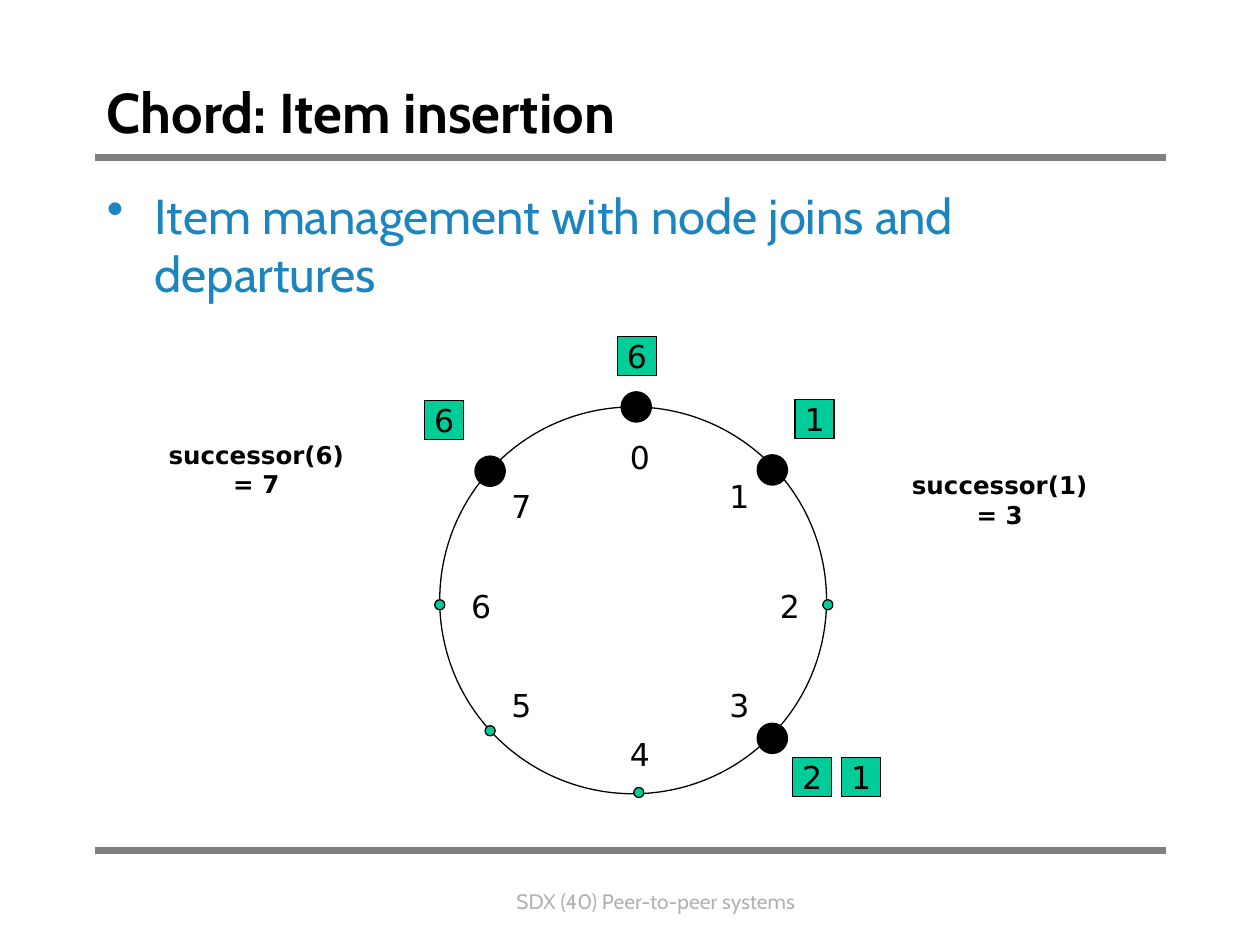
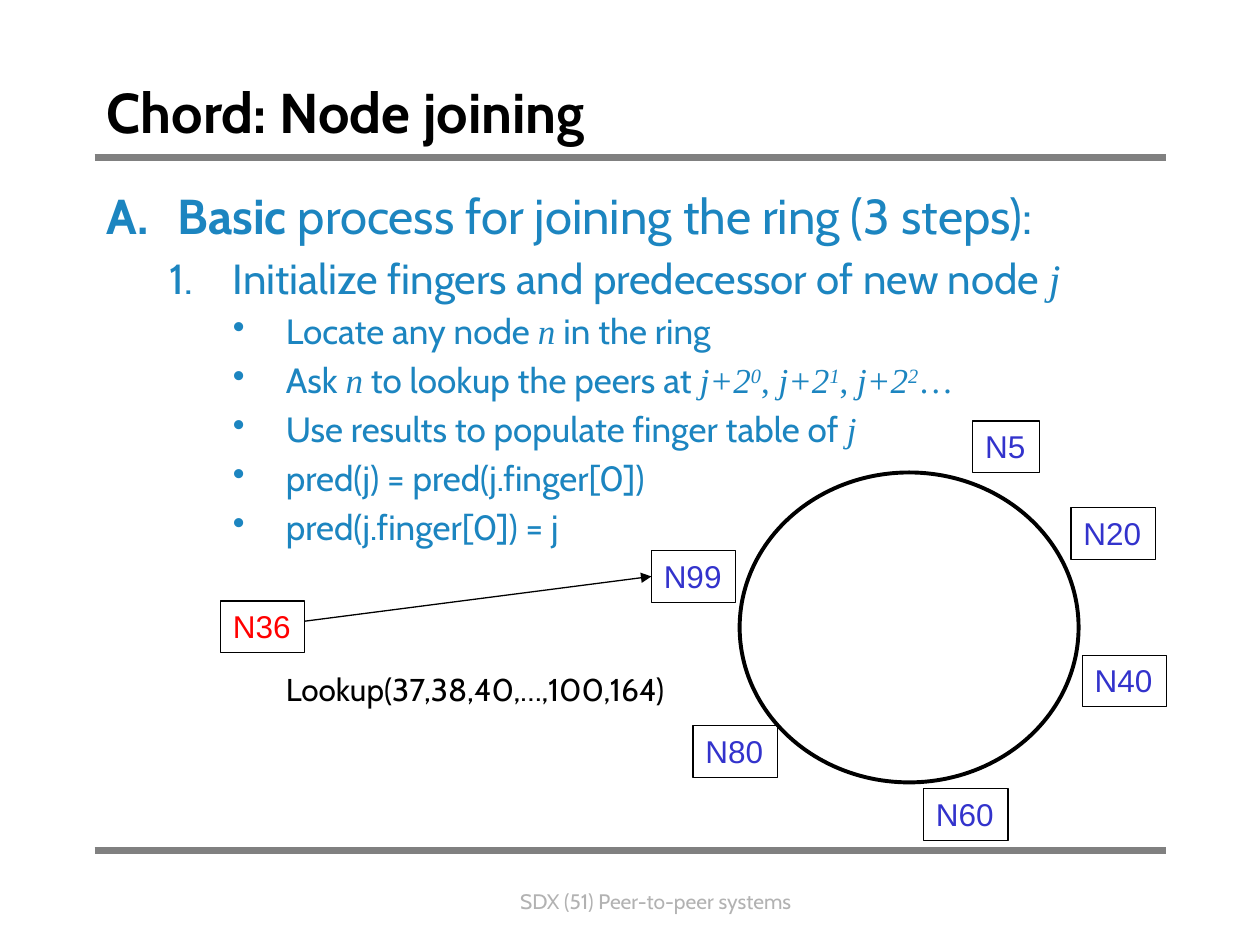
from lxml import etree
from pptx import Presentation
from pptx.dml.color import RGBColor
from pptx.enum.shapes import MSO_CONNECTOR, MSO_SHAPE
from pptx.enum.text import MSO_ANCHOR, PP_ALIGN
from pptx.oxml.ns import qn
from pptx.util import Inches, Pt

RECT, OVAL = MSO_SHAPE.RECTANGLE, MSO_SHAPE.OVAL
LINE = MSO_CONNECTOR.STRAIGHT
MIDDLE, CENTER = MSO_ANCHOR.MIDDLE, PP_ALIGN.CENTER

BLACK = RGBColor(0x00, 0x00, 0x00)
GRAY = RGBColor(0x80, 0x80, 0x80)
PALE = RGBColor(0xB2, 0xB2, 0xB2)
GREEN = RGBColor(0x00, 0xCC, 0x99)
BLUE = RGBColor(0x1C, 0x85, 0xC0)
INDIGO = RGBColor(0x33, 0x33, 0xCC)
RED = RGBColor(0xFF, 0x00, 0x00)

CABIN, DEJAVU, ARIAL, TIMES = "Cabin", "DejaVu Sans", "Arial", "Times New Roman"


def place(slide, kind, left, top, width, height, fill=None, weight=0.75):
    """Add a preset shape, or a text box when kind is None."""
    at = [Inches(v) for v in (left, top, width, height)]
    if kind is None:
        return slide.shapes.add_textbox(*at)
    shape = slide.shapes.add_shape(kind, *at)
    shape.shadow.inherit = False
    if fill is None:
        shape.fill.background()
    else:
        shape.fill.solid()
        shape.fill.fore_color.rgb = fill
    shape.line.color.rgb = BLACK
    shape.line.width = Pt(weight)
    return shape


def write(par, text, size, font, color, bold=False, italic=False):
    """Add one run to a paragraph."""
    run = par.add_run()
    run.text = text
    run.font.size = Pt(size)
    run.font.name = font
    run.font.color.rgb = color
    run.font.bold = bold
    run.font.italic = italic
    return run


# Body text: level, bullet, runs of (text, style)
# Styles: "" plain, b bold, i Times italic, t Times upright, s superscript
STEPS = [
    (0, "alphaUcPeriod", [("Basic", "b"),
                          (" process for joining the ring (3 steps):", "")]),
    (1, "arabicPeriod", [("Initialize fingers and predecessor of new node ", ""),
                         ("j", "i")]),
    (2, "•", [("Locate any node ", ""), ("n", "i"), (" in the ring", "")]),
    (2, "•", [("Ask ", ""), ("n", "i"), (" to lookup the peers at ", ""),
              ("j+2", "i"), ("0", "is"), (", ", "t"),
              ("j+2", "i"), ("1", "is"), (", ", "t"),
              ("j+2", "i"), ("2", "is"), ("…", "t")]),
    (2, "•", [("Use results to populate finger table of ", ""), ("j", "i")]),
    (2, "•", [("pred(j) = pred(j.finger[0])", "")]),
    (2, "•", [("pred(j.finger[0]) = j", "")]),
]
ITEMS = [(0, "•", [("Item management with node joins and departures", "")])]
SIZES = [28, 24, 20]

# Title, page number, body, (indent, hang) by level
PAGES = [
    ("Chord: Item insertion", 40, ITEMS, [(0.38, 0.38)]),
    ("Chord: Node joining", 51, STEPS, [(0.56, 0.56), (1, 0.5), (1.42, 0.42)]),
]

deck = Presentation()
deck.slide_width, deck.slide_height = Inches(10), Inches(7.5)

# Shared frame: rules, footer, title and body
for title, page, body, indents in PAGES:
    slide = deck.slides.add_slide(deck.slide_layouts[6])
    for y in (1.25, 6.75):
        rule = slide.shapes.add_connector(
            LINE, Inches(0.75), Inches(y), Inches(9.25), Inches(y))
        rule.line.color.rgb = GRAY
        rule.line.width = Pt(4.5)
        etree.SubElement(rule._element.spPr, qn("a:effectLst"))

    frame = place(slide, None, 2.33, 7, 5.75, 0.3).text_frame
    frame.word_wrap = True
    par = frame.paragraphs[0]
    par.alignment = CENTER
    write(par, f"SDX ({page}) Peer-to-peer systems", 12, CABIN, PALE)

    frame = place(slide, None, 0.75, 0.42, 8.5, 0.92).text_frame
    frame.word_wrap = True
    frame.vertical_anchor = MIDDLE
    write(frame.paragraphs[0], title, 32, CABIN, BLACK, bold=True)

    frame = place(slide, None, 0.75, 1.42, 8.5, 5.25).text_frame
    frame.word_wrap = True
    for row, (level, bullet, runs) in enumerate(body):
        par = frame.add_paragraph() if row else frame.paragraphs[0]
        par.level = level
        size = SIZES[level]
        if row:
            par.space_before = Pt(size * 0.2)
        props = par._p.get_or_add_pPr()
        indent, hang = indents[level]
        props.set("marL", str(Inches(indent)))
        props.set("indent", str(-Inches(hang)))
        if bullet == "•":
            etree.SubElement(props, qn("a:buChar"), char=bullet)
        else:
            etree.SubElement(props, qn("a:buAutoNum"), type=bullet)
        for text, style in runs:
            font = TIMES if "i" in style or "t" in style else CABIN
            run = write(par, text, size, font, BLUE, "b" in style, "i" in style)
            if "s" in style:
                run.font._element.set("baseline", "30000")

first, second = deck.slides

# Slide 1: ring with eight places, four of them taken by nodes
place(first, OVAL, 3.49, 3.23, 3.07, 3.07)
TAKEN = {0, 1, 3, 7}
SPOTS = [(5.05, 3.23), (6.13, 3.73), (6.57, 4.8), (6.13, 5.86),
         (5.07, 6.29), (3.89, 5.8), (3.49, 4.8), (3.89, 3.74)]
for num, (x, y) in enumerate(SPOTS):
    size = 0.24 if num in TAKEN else 0.08
    fill = BLACK if num in TAKEN else GREEN
    place(first, OVAL, x - size / 2, y - size / 2, size, size, fill)

# Place numbers, items in green squares, successor notes
DIGITS = [(4.9, 3.47), (5.69, 3.78), (6.09, 4.65), (5.69, 5.44),
          (4.9, 5.83), (3.96, 5.44), (3.64, 4.65), (3.96, 3.86)]
KEYS = [("6", 4.9, 2.67), ("1", 6.31, 3.17), ("2", 6.29, 6.01),
        ("6", 3.37, 3.18), ("1", 6.68, 6.01)]
NOTES = [("successor(6) = 7", 1.17, 3.57), ("successor(1) = 3", 7.07, 3.81)]
marks = [(str(num), None, x, y, 0.32, 18) for num, (x, y) in enumerate(DIGITS)]
marks += [(key, RECT, x, y, 0.31, 18) for key, x, y in KEYS]
marks += [(note, None, x, y, 1.73, 14) for note, x, y in NOTES]
for text, kind, x, y, width, size in marks:
    frame = place(first, kind, x, y, width, 0.31, GREEN).text_frame
    frame.word_wrap = False
    frame.vertical_anchor = MIDDLE
    par = frame.paragraphs[0]
    par.alignment = CENTER
    write(par, text, size, DEJAVU, BLACK, bold=size == 14)

# Slide 2: ring, peers and the joining node
place(second, OVAL, 5.87, 3.75, 2.69, 2.46, weight=2.25)
PEERS = [("N5", 7.72, 3.34), ("N20", 8.5, 4.03), ("N40", 8.59, 5.2),
         ("N60", 7.33, 6.26), ("N80", 5.5, 5.76), ("N99", 5.17, 4.37),
         ("N36", 1.75, 4.77)]
boxes = {}
for name, x, y in PEERS:
    width = 0.53 if name == "N5" else 0.67
    box = boxes[name] = place(second, RECT, x, y, width, 0.41)
    frame = box.text_frame
    frame.word_wrap = False
    frame.vertical_anchor = MSO_ANCHOR.TOP
    par = frame.paragraphs[0]
    par.alignment = PP_ALIGN.LEFT
    write(par, name, 18, ARIAL, RED if name == "N36" else INDIGO)

# Lookup arrow and its text
arrow = second.shapes.add_connector(
    LINE, Inches(2.42), Inches(4.93), Inches(5.17), Inches(4.57))
arrow.end_connect(boxes["N99"], 1)
arrow.line.color.rgb = BLACK
arrow.line.width = Pt(0.75)
etree.SubElement(arrow.line._get_or_add_ln(), qn("a:tailEnd"), type="triangle")
etree.SubElement(arrow._element.spPr, qn("a:effectLst"))

frame = place(second, None, 2.17, 5.27, 3.42, 0.4).text_frame
frame.word_wrap = False
write(frame.paragraphs[0], "Lookup(37,38,40,…,100,164)", 18, CABIN, BLACK)

deck.save("out.pptx")
